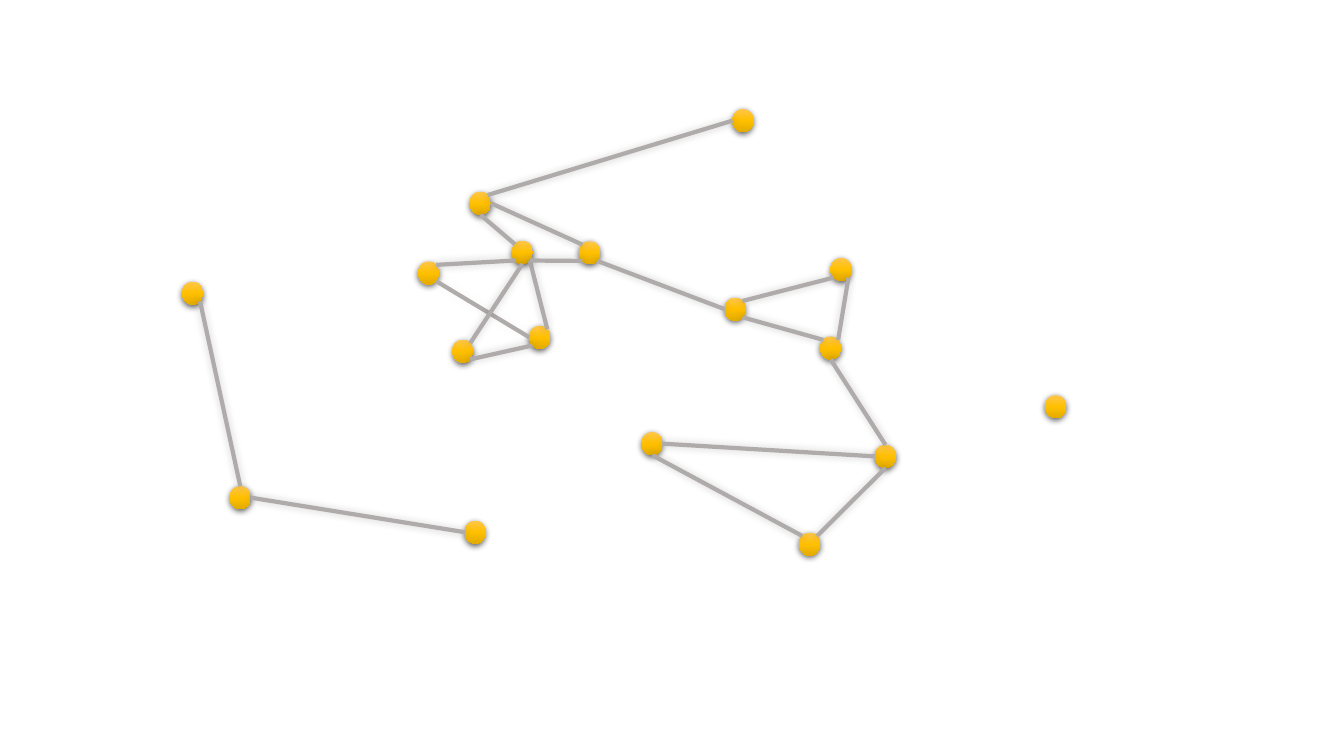
from copy import deepcopy
from math import cos, radians, sin

from lxml.etree import SubElement
from pptx import Presentation
from pptx.dml.color import RGBColor
from pptx.enum.shapes import MSO_CONNECTOR, MSO_SHAPE
from pptx.oxml.ns import qn
from pptx.util import Cm, Pt

COLORS = {"light": "FFC64B", "amber": "FFC000", "dark": "E3AB00",
          "link": "AFABAB", "shadow": "000000"}
NODE_WIDTH, NODE_HEIGHT = Cm(0.53), Cm(0.58)
NODE_SHADOW = {"blur": 4.5, "distance": 1.5, "angle": 90, "opacity": 63}
LINK_SHADOW = {"blur": 6, "distance": 0, "angle": 225, "opacity": 20}
PALE_SHADOW = {**LINK_SHADOW, "opacity": 11, "color": "link"}

# Connection sites of an ellipse, counter-clockwise from the top
SITES = ("top", "top left", "left", "bottom left",
         "bottom", "bottom right", "right", "top right")

# Each cluster: nodes (name: left, top in cm), then links (node, site, node, site)
CLUSTERS = [
    ({"hub": (12.9, 6.07), "wing": (10.54, 6.59),
      "foot": (11.4, 8.56), "heel": (13.34, 8.21)},
     [("hub", "bottom left", "wing", "top right"),
      ("wing", "bottom right", "heel", "left", PALE_SHADOW),
      ("hub", "bottom right", "heel", "top right"),
      ("hub", "bottom", "foot", "top right"),
      ("foot", "bottom right", "heel", "bottom left")]),
    ({"summit": (18.46, 2.75), "shoulder": (11.84, 4.83), "bridge": (14.6, 6.08)},
     [("shoulder", "bottom", "hub", "top left"),
      ("bridge", "bottom left", "hub", "bottom right"),
      ("shoulder", "right", "bridge", "top left"),
      ("shoulder", "top right", "summit", "left")]),
    ({"lower": (20.67, 8.48), "upper": (20.93, 6.5), "gate": (18.26, 7.5)},
     [("bridge", "bottom right", "gate", "left"),
      ("upper", "bottom left", "gate", "top right"),
      ("upper", "bottom right", "lower", "top right"),
      ("lower", "top left", "gate", "bottom right")]),
    ({"chain end": (11.71, 13.12), "chain middle": (5.79, 12.25),
      "chain start": (4.59, 7.1)},
     [("chain start", "bottom right", "chain middle", "top"),
      ("chain middle", "right", "chain end", "left")]),
    ({"base": (20.14, 13.42), "isolated": (26.34, 9.96),
      "left corner": (16.17, 10.89), "right corner": (22.05, 11.21)},
     [("lower", "bottom", "right corner", "top"),
      ("right corner", "bottom", "base", "top right"),
      ("left corner", "bottom", "base", "top left"),
      ("left corner", "right", "right corner", "left")]),
]


def add_shadow(item, blur, distance, angle, opacity, color="shadow"):
    """Give a shape or connector an outer shadow."""
    effects = SubElement(item._element.spPr, qn("a:effectLst"))
    shadow = SubElement(effects, qn("a:outerShdw"), blurRad=str(Pt(blur)),
                        dist=str(Pt(distance)), dir=str(angle * 60000),
                        algn="ctr", rotWithShape="0")
    tone = SubElement(shadow, qn("a:srgbClr"), val=COLORS[color])
    SubElement(tone, qn("a:alpha"), val=str(opacity * 1000))


def add_node(page, left, top):
    """Draw one amber gradient node."""
    node = page.shapes.add_shape(MSO_SHAPE.OVAL, Cm(left), Cm(top),
                                 NODE_WIDTH, NODE_HEIGHT)
    node.fill.gradient()
    node.fill.gradient_angle = 270
    stop_list = node._element.spPr.find(".//" + qn("a:gsLst"))
    stop_list.append(deepcopy(stop_list[-1]))
    for stop, position, color in zip(node.fill.gradient_stops, (0, 0.5, 1),
                                     ("light", "amber", "dark")):
        stop.position = position
        stop.color.rgb = RGBColor.from_string(COLORS[color])
    node.line.fill.background()
    add_shadow(node, **NODE_SHADOW)
    return node


def site_point(node, site):
    """Return the slide position of a connection site on a node."""
    angle = radians(45 * SITES.index(site))
    return (round(node.left + node.width * (1 - sin(angle)) / 2),
            round(node.top + node.height * (1 - cos(angle)) / 2))


def add_link(page, start, start_site, end, end_site, shadow=LINK_SHADOW):
    """Draw a grey link attached to the sites of two nodes."""
    link = page.shapes.add_connector(MSO_CONNECTOR.STRAIGHT,
                                     *site_point(start, start_site),
                                     *site_point(end, end_site))
    link.line.width = Pt(3)
    link.line.color.rgb = RGBColor.from_string(COLORS["link"])
    joints = link._element.find(".//" + qn("p:cNvCxnSpPr"))
    for tag, node, site in (("a:stCxn", start, start_site),
                            ("a:endCxn", end, end_site)):
        SubElement(joints, qn(tag), id=str(node.shape_id),
                   idx=str(SITES.index(site)))
    add_shadow(link, **shadow)


def main():
    """Build the network slide."""
    deck = Presentation()
    deck.slide_width, deck.slide_height = Cm(33.87), Cm(19.05)
    page = deck.slides.add_slide(deck.slide_layouts[6])
    nodes = {}
    for places, links in CLUSTERS:
        for name, place in places.items():
            nodes[name] = add_node(page, *place)
        for start, start_site, end, end_site, *shadow in links:
            add_link(page, nodes[start], start_site,
                     nodes[end], end_site, *shadow)
    deck.save("out.pptx")


main()
